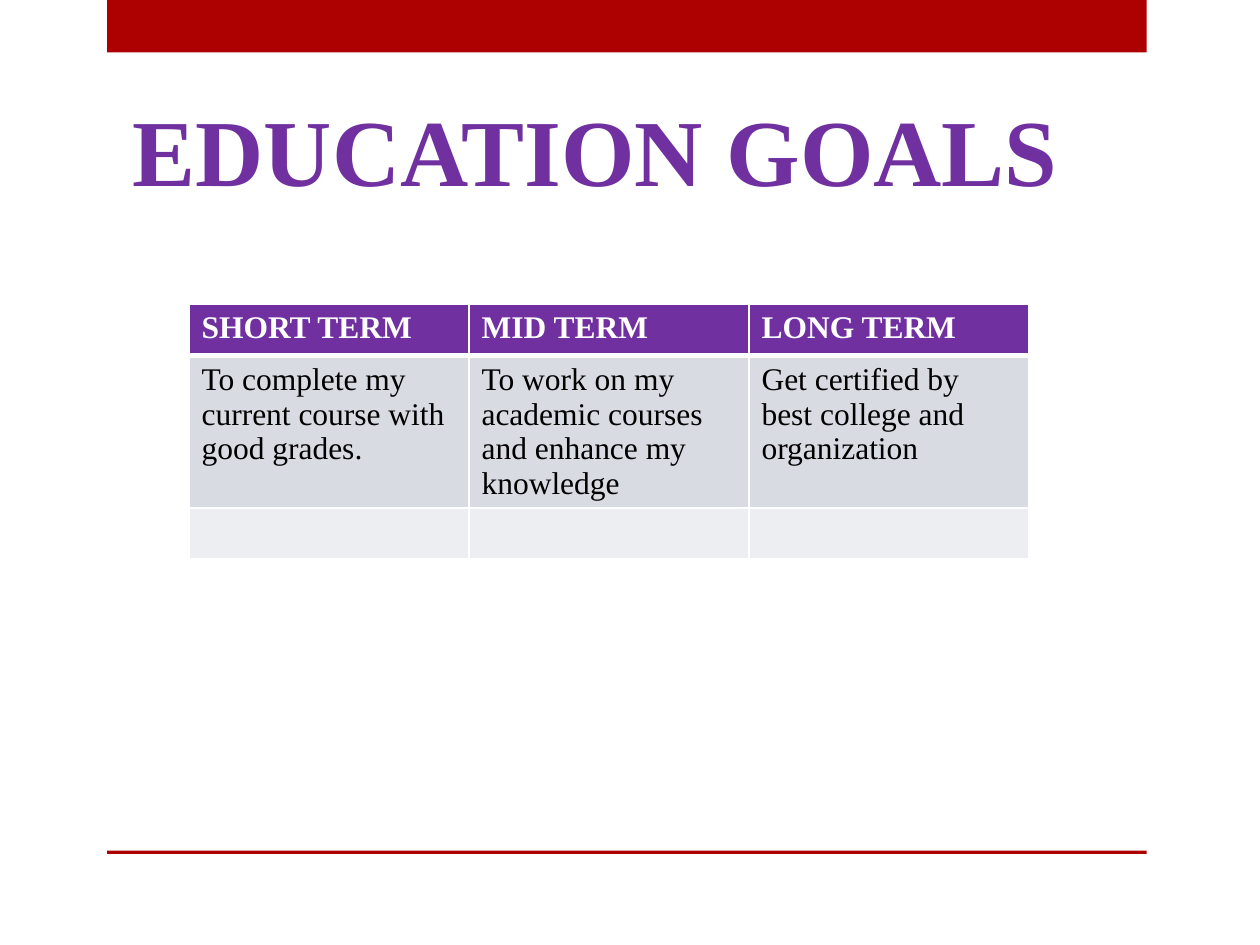
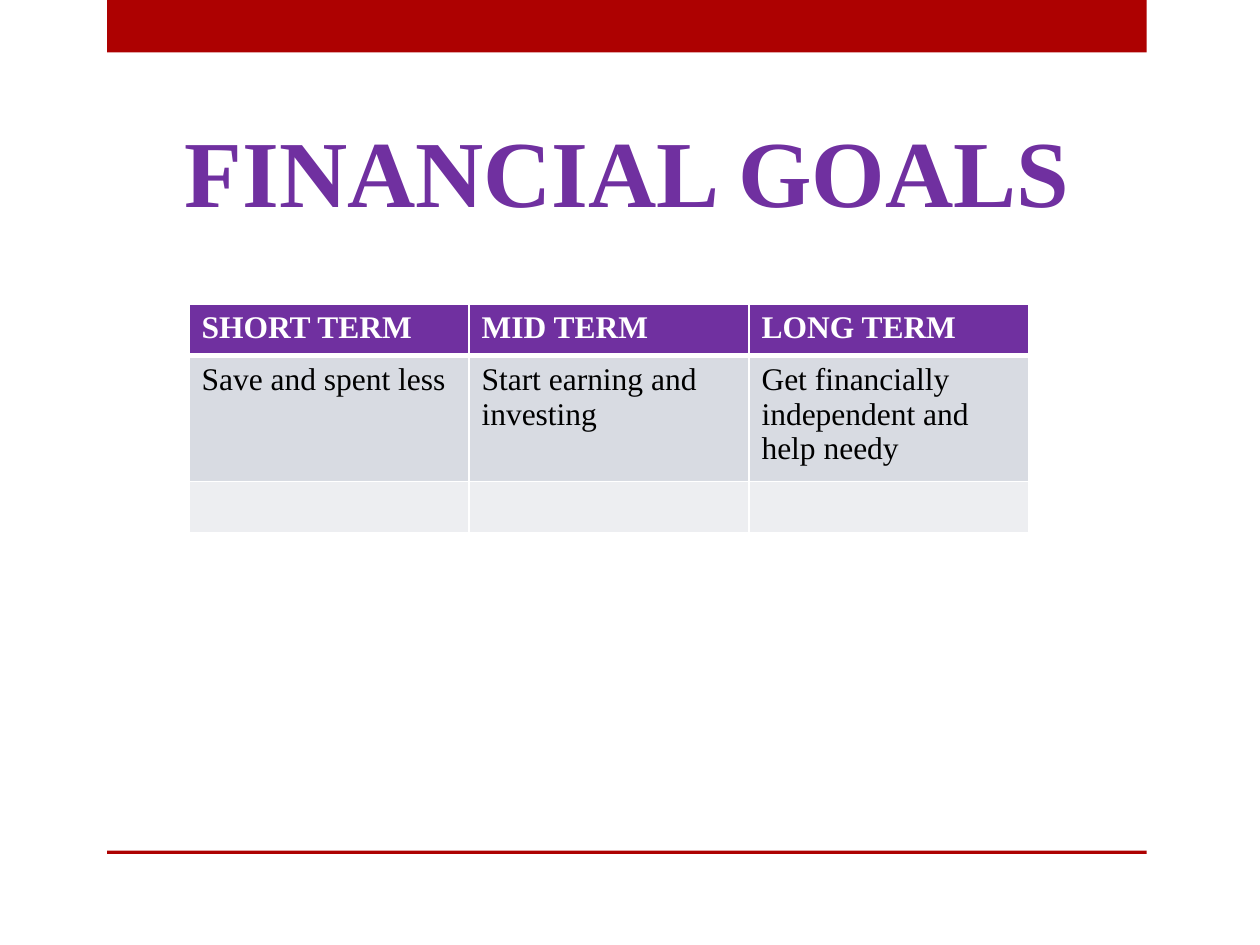
"""Build two slides of personal goals, each with a title and a three-term table."""
from lxml import etree
from pptx import Presentation
from pptx.dml.color import RGBColor
from pptx.enum import shapes, text
from pptx.oxml import ns
from pptx.util import Pt

RED = RGBColor(0xAD, 0x01, 0x01)
PURPLE = RGBColor(0x70, 0x30, 0xA0)
SLATE = RGBColor(0x5C, 0x67, 0x80)
WHITE = RGBColor(0xFF, 0xFF, 0xFF)
BLACK = RGBColor(0x00, 0x00, 0x00)
DARK_ROW = RGBColor(0xD8, 0xDB, 0xE2)
LIGHT_ROW = RGBColor(0xED, 0xEE, 0xF1)
FONT = "Times New Roman"
TERMS = ("SHORT TERM", "MID TERM", "LONG TERM")


def add_line(parent, tag, width, color):
    line = etree.SubElement(parent, ns.qn(tag), w=str(Pt(width)))
    fill = etree.SubElement(line, ns.qn("a:solidFill"))
    etree.SubElement(fill, ns.qn("a:srgbClr"), val=str(color))
    return line


class GoalDeck:
    def __init__(self):
        self.deck = Presentation()
        self.deck.slide_width, self.deck.slide_height = Pt(720), Pt(540)
        self.page = None

    def add_page(self):
        self.page = self.deck.slides.add_slide(self.deck.slide_layouts[5])
        self.add_band(0, 30)
        self.add_band(486, 2)

    def add_band(self, top, height):
        band = self.page.shapes.add_shape(
            shapes.MSO_SHAPE.RECTANGLE, Pt(61.2), Pt(top), Pt(594), Pt(height))
        band.shadow.inherit = False
        band.fill.solid()
        band.fill.fore_color.rgb = RED
        band.line.fill.background()

    def style_text(self, frame, size, color, bold):
        for paragraph in frame.paragraphs:
            for span in paragraph.runs:
                span.font.name = FONT
                span.font.size = Pt(size)
                span.font.bold = bold
                span.font.color.rgb = color

    def add_title(self, wording, left, top, width):
        title = self.page.shapes.title
        title.left, title.top = Pt(left), Pt(top)
        title.width, title.height = Pt(width), Pt(72.7)
        frame = title.text_frame
        frame.text = wording
        frame.word_wrap = False
        frame.auto_size = text.MSO_AUTO_SIZE.NONE
        frame.vertical_anchor = text.MSO_ANCHOR.BOTTOM
        para = frame.paragraphs[0]
        para.alignment = text.PP_ALIGN.CENTER
        self.style_text(frame, 54, PURPLE, True)
        properties = para.runs[0].font._element
        properties.insert(0, add_line(properties, "a:ln", 0.71, SLATE))

    def add_goals(self, goals, goal_height):
        rows = (
            (TERMS, 29.3, PURPLE, WHITE, True),
            (goals, goal_height, DARK_ROW, BLACK, False),
            (("",) * len(TERMS), 29.3, LIGHT_ROW, BLACK, False),
        )
        height = sum(row[1] for row in rows)
        table = self.page.shapes.add_table(
            len(rows), len(TERMS), Pt(108), Pt(174), Pt(480), Pt(height)).table
        table.first_row = table.horz_banding = False
        for index, (wordings, row_height, fill, color, bold) in enumerate(rows):
            table.rows[index].height = Pt(row_height)
            widths = {"a:lnL": 1, "a:lnR": 1,
                      "a:lnT": 3 if index == 1 else 1,
                      "a:lnB": 3 if index == 0 else 1}
            for cell, wording in zip(table.rows[index].cells, wordings):
                properties = cell._tc.get_or_add_tcPr()
                for tag, width in widths.items():
                    add_line(properties, tag, width, WHITE)
                cell.fill.solid()
                cell.fill.fore_color.rgb = fill
                if wording:
                    cell.text_frame.text = wording
                    self.style_text(cell.text_frame, 18, color, bold)


def main():
    goals = GoalDeck()

    goals.add_page()
    goals.add_title("EDUCATION GOALS", 66.2, 48.2, 548)
    goals.add_goals((
        "To complete my current course with good grades.",
        "To work on my academic courses and enhance my knowledge",
        "Get certified by best college and organization",
    ), 86.4)

    goals.add_page()
    goals.add_title("FINANCIAL GOALS", 95.8, 60, 525)
    goals.add_goals((
        "Save and spent less",
        "Start earning and investing",
        "Get financially independent and help needy",
    ), 72)

    goals.deck.save("out.pptx")


if __name__ == "__main__":
    main()
